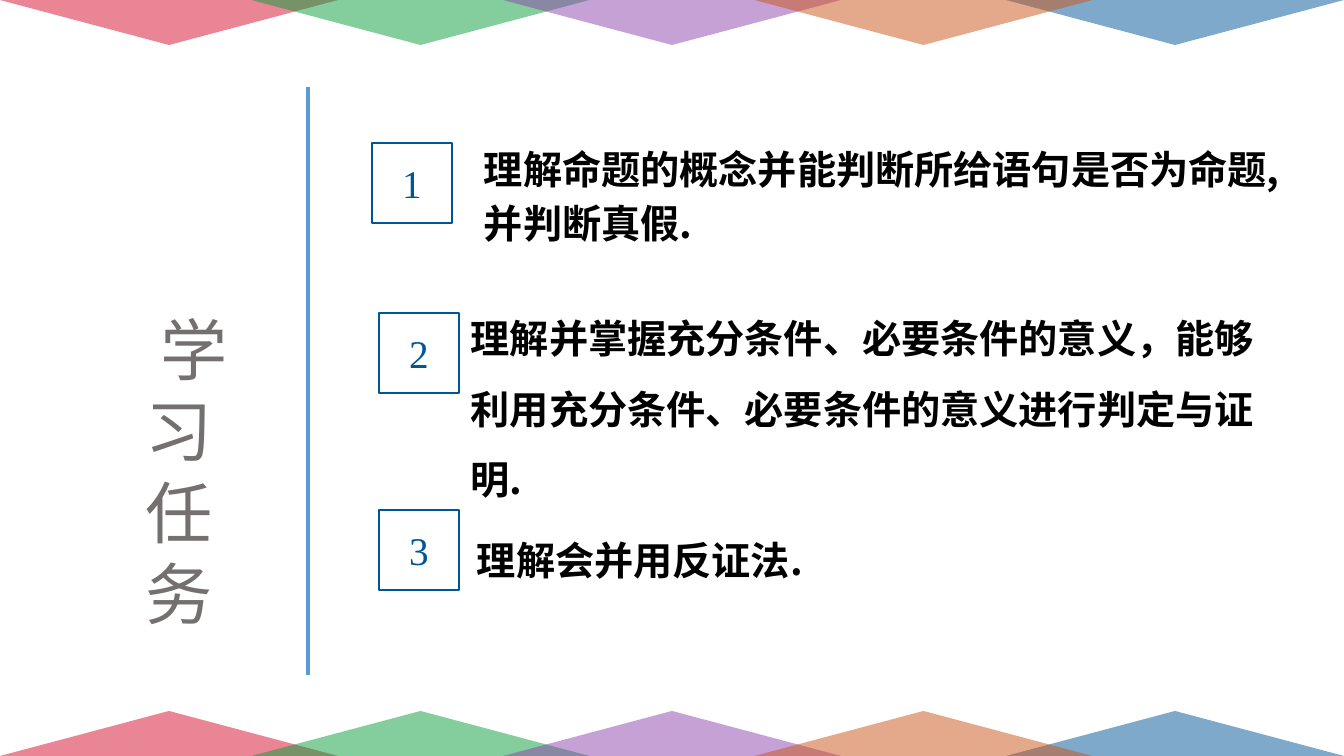
from lxml.etree import SubElement
from pptx import Presentation
from pptx.dml.color import RGBColor
from pptx.enum.shapes import MSO_CONNECTOR as Connector, MSO_SHAPE as Shape
from pptx.enum.text import MSO_ANCHOR as Anchor, PP_ALIGN as Align
from pptx.oxml.ns import qn
from pptx.util import Emu, Pt

RED = RGBColor(0xD5, 0x0D, 0x2A)
BLUE = RGBColor(0x00, 0x55, 0x96)
GREEN = RGBColor(0x09, 0x9F, 0x3B)
PURPLE = RGBColor(0x8D, 0x44, 0xAD)
ORANGE = RGBColor(0xCB, 0x55, 0x18)
GRAY = RGBColor(0x75, 0x70, 0x70)
SKY = RGBColor(0x5B, 0x9B, 0xD5)
BLACK = RGBColor(0x00, 0x00, 0x00)
SANS = "Noto Sans CJK SC"
SERIF = "Times New Roman"
WIDTH, HEIGHT = 1344, 756


def px(*lengths):
    return [Emu(round(length * 914400 / 100.8)) for length in lengths]


def style(paragraph, size, color, name, bold=False):
    font = paragraph.font
    font.size, font.bold, font.name = Pt(size), bold, name
    font.color.rgb = color
    properties = paragraph._p.pPr.find(qn("a:defRPr"))
    SubElement(properties, qn("a:ea")).set("typeface", SANS)


presentation = Presentation()
presentation.slide_width, presentation.slide_height = px(WIDTH, HEIGHT)
slide = presentation.slides.add_slide(presentation.slide_layouts[5])
shapes = slide.shapes

# Translucent triangles along the bottom and top edges, back to front
TRIANGLE_WIDTH, TRIANGLE_HEIGHT = 338, 45
TRIANGLE_STEP = (WIDTH - TRIANGLE_WIDTH) / 4
for top, rotation in ((HEIGHT - TRIANGLE_HEIGHT, 0), (0, 180)):
    for column, color in ((0, RED), (4, BLUE), (1, GREEN), (2, PURPLE), (3, ORANGE)):
        triangle = shapes.add_shape(
            Shape.ISOSCELES_TRIANGLE,
            *px(column * TRIANGLE_STEP, top, TRIANGLE_WIDTH, TRIANGLE_HEIGHT))
        triangle.rotation = rotation
        triangle.shadow.inherit = False
        triangle.line.fill.background()
        triangle.fill.solid()
        triangle.fill.fore_color.rgb = color
        rgb = triangle._element.spPr.find(".//" + qn("a:srgbClr"))
        SubElement(rgb, qn("a:alpha")).set("val", "50000")

# Title, one character per line, the first one shifted right
title = shapes.title
title.left, title.top, title.width, title.height = px(110, 303, 139, 417)
frame = title.text_frame
frame.word_wrap, frame.vertical_anchor = True, Anchor.TOP
frame.text = "学习任务"
heading = frame.paragraphs[0]
heading.alignment, heading.line_spacing = Align.CENTER, Pt(58)
heading._p.get_or_add_pPr().set("indent", str(px(30)[0]))
style(heading, 48, GRAY, SERIF)

# Divider
divider = shapes.add_connector(Connector.STRAIGHT, *px(308, 87, 308, 675))
divider.line.color.rgb, divider.line.width = SKY, Pt(3)
SubElement(divider._element.spPr, qn("a:effectLst"))

# Numbered boxes
for number, (left, top) in enumerate(((372, 143), (379, 313), (379, 510)), 1):
    box = shapes.add_shape(Shape.RECTANGLE, *px(left, top, 80, 80))
    box.shadow.inherit = False
    box.fill.background()
    box.line.color.rgb, box.line.width = BLUE, Pt(1)
    box.text_frame.text = str(number)
    box.text_frame.vertical_anchor = Anchor.MIDDLE
    paragraph = box.text_frame.paragraphs[0]
    paragraph.alignment = Align.CENTER
    style(paragraph, 28, BLUE, SERIF)

# Task texts: position, wrapping, line spacing, wording
TASKS = (
    ((474, 134, 829, 118), False, 1.14,
     "理解命题的概念并能判断所给语句是否为命题,\n并判断真假."),
    ((461, 286, 814, 295), True, 1.5,
     "理解并掌握充分条件、必要条件的意义，能够利用充分条件、必要条件的意义进行判定与证明."),
    ((467, 508, 814, 82), True, 1.5, "理解会并用反证法."),
)
for position, wraps, spacing, wording in TASKS:
    frame = shapes.add_textbox(*px(*position)).text_frame
    frame.word_wrap = wraps
    frame.text = wording
    for paragraph in frame.paragraphs:
        paragraph.line_spacing = spacing
        style(paragraph, 28, BLACK, SANS, bold=True)

presentation.save("out.pptx")
